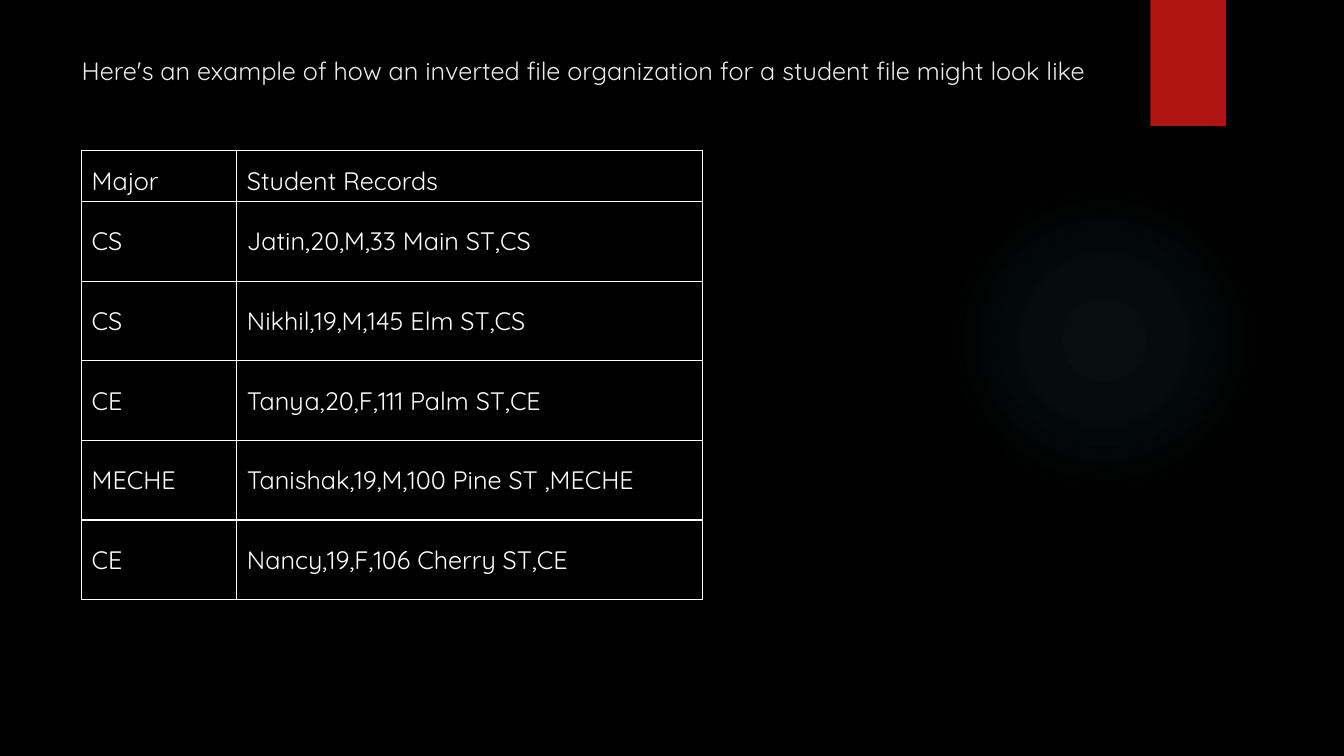
"""Builds a slide showing an inverted file organization of student records."""
from lxml import etree
from pptx import Presentation, util as u
from pptx.dml.color import RGBColor
from pptx.enum import shapes, text
from pptx.oxml import parse_xml
from pptx.oxml.ns import nsdecls, qn

COLORS = {"background": "000000", "title": "EBEBEB", "table": "FFFFFF",
          "ribbon": "B01513", "glow": "50B9C1"}
FONT = "Quicksand"
TITLE = ("Here's an example of\u00a0how an\u00a0inverted file organization\u00a0for\u00a0a "
         "student\u00a0file\u00a0might look\u00a0like")
RECORDS = [
    ("Major", "Student Records"),
    ("CS", "Jatin,20,M,33 Main ST,CS"),
    ("CS", "Nikhil,19,M,145 Elm ST,CS"),
    ("CE", "Tanya,20,F,111 Palm ST,CE"),
    ("MECHE", "Tanishak,19,M,100 Pine ST\u00a0,MECHE"),
    ("CE", "Nancy,19,F,106 Cherry\u00a0ST,CE"),
]
COLUMN_WIDTHS = (1.54, 4.62)
HEADER_HEIGHT, RECORD_HEIGHT = 0.51, 0.79
GLOW_STOPS = ((0, 7), (36, 6), (69, 0), (100, 0))


class SlideBuilder:
    """Holds the style and the current slide."""

    def __init__(self, presentation):
        """Add a title-only slide with a plain background."""
        self.slide = presentation.slides.add_slide(presentation.slide_layouts[5])
        self.paint(self.slide.background.fill, "background")

    def paint(self, fill, color):
        """Give a fill one solid colour."""
        fill.solid()
        fill.fore_color.rgb = RGBColor.from_string(COLORS[color])

    def add_text(self, frame, words, color):
        """Put one left-aligned run into a text frame."""
        frame.word_wrap = True
        paragraph = frame.paragraphs[0]
        paragraph.alignment = text.PP_ALIGN.LEFT
        run = paragraph.add_run()
        run.text = words
        run.font.name = FONT
        run.font.size = u.Pt(18)
        run.font.bold = False
        run.font.color.rgb = RGBColor.from_string(COLORS[color])

    def title(self, words, left, top, width, height):
        """Place and fill the title placeholder."""
        shape = self.slide.shapes.title
        shape.left, shape.top = u.Inches(left), u.Inches(top)
        shape.width, shape.height = u.Inches(width), u.Inches(height)
        shape.text_frame.vertical_anchor = text.MSO_ANCHOR.TOP
        self.add_text(shape.text_frame, words, "title")

    def shape(self, kind, color, left, top, width, height):
        """Add a preset shape without line or shadow."""
        shape = self.slide.shapes.add_shape(
            kind, u.Inches(left), u.Inches(top), u.Inches(width), u.Inches(height))
        shape.shadow.inherit = False
        shape.line.fill.background()
        self.paint(shape.fill, color)
        return shape

    def glow(self, left, top, size):
        """Add a circle that fades out from its centre."""
        circle = self.shape(shapes.MSO_SHAPE.OVAL, "glow", left, top, size, size)
        stops = "".join(
            f'<a:gs pos="{position * 1000}"><a:srgbClr val="{COLORS["glow"]}">'
            f'<a:alpha val="{alpha * 1000}"/></a:srgbClr></a:gs>'
            for position, alpha in GLOW_STOPS)
        gradient = parse_xml(
            f'<a:gradFill {nsdecls("a")} rotWithShape="1"><a:gsLst>{stops}</a:gsLst>'
            '<a:path path="circle"><a:fillToRect l="50000" t="50000" r="50000" b="50000"/>'
            '</a:path></a:gradFill>')
        properties = circle.element.spPr
        properties.replace(properties.find(qn("a:solidFill")), gradient)

    def border(self, cell):
        """Draw a thin line on all four sides of a cell."""
        properties = cell._tc.get_or_add_tcPr()
        for index, side in enumerate("LRTB"):
            line = etree.Element(qn(f"a:ln{side}"), w=str(u.Pt(1)))
            fill = etree.SubElement(line, qn("a:solidFill"))
            etree.SubElement(fill, qn("a:srgbClr"), val=COLORS["table"])
            properties.insert(index, line)

    def table(self, records, left, top):
        """Add an outlined table with a shorter header row."""
        heights = [HEADER_HEIGHT] + [RECORD_HEIGHT] * (len(records) - 1)
        table = self.slide.shapes.add_table(
            len(records), len(COLUMN_WIDTHS), u.Inches(left), u.Inches(top),
            u.Inches(sum(COLUMN_WIDTHS)), u.Inches(sum(heights))).table
        table.first_row = table.horz_banding = False
        for column, width in zip(table.columns, COLUMN_WIDTHS):
            column.width = u.Inches(width)
        for row_index, (row, height, record) in enumerate(zip(table.rows, heights, records)):
            row.height = u.Inches(height)
            for cell, words in zip(row.cells, record):
                cell.fill.background()
                self.border(cell)
                self.add_text(cell.text_frame, words, "table")
                cell.vertical_anchor = (
                    text.MSO_ANCHOR.MIDDLE if row_index else text.MSO_ANCHOR.BOTTOM)


presentation = Presentation()
presentation.slide_width, presentation.slide_height = u.Inches(13.33), u.Inches(7.5)
builder = SlideBuilder(presentation)
builder.glow(9.41, 1.83, 3.08)
builder.shape(shapes.MSO_SHAPE.RECTANGLE, "ribbon", 11.41, 0, 0.75, 1.25)
builder.title(TITLE, 0.71, 0.5, 10.29, 0.82)
builder.table(RECORDS, 0.81, 1.49)
presentation.save("out.pptx")
